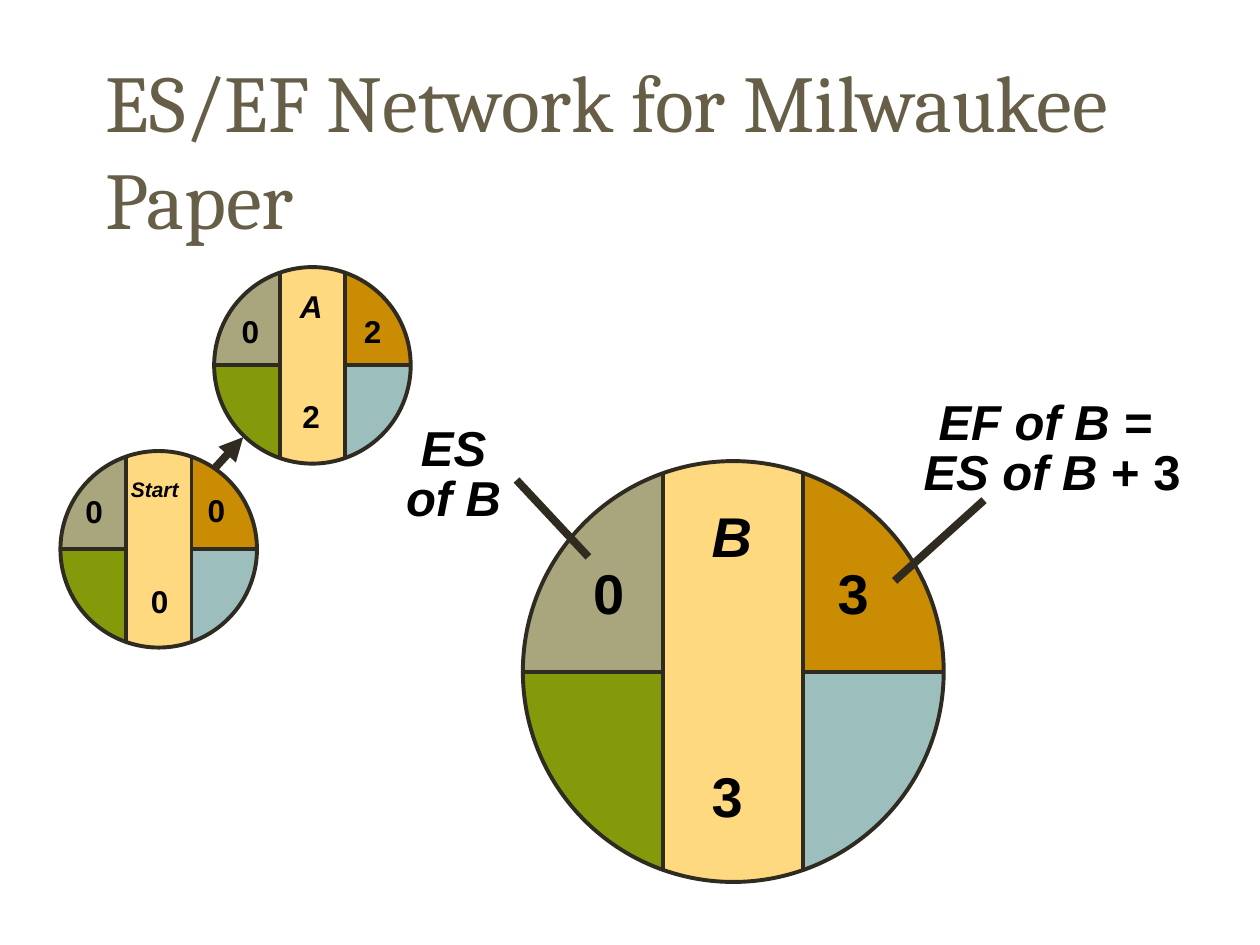
from dataclasses import dataclass
from math import acos, cos, pi, sin

from pptx import Presentation
from pptx.dml.color import RGBColor
from pptx.enum.shapes import MSO_CONNECTOR as Connector, MSO_SHAPE as Preset
from pptx.enum.text import MSO_ANCHOR as Anchor, MSO_AUTO_SIZE as AutoSize, PP_ALIGN as Align
from pptx.oxml.ns import qn
from pptx.util import Inches, Pt
from lxml.etree import SubElement

COLORS = {
    "band": "FFD980",
    "early_start": "A9A57C",
    "early_finish": "CA8C02",
    "late_start": "849A0A",
    "late_finish": "9CBEBD",
    "outline": "2F2B20",
    "title": "675E47",
    "text": "000000",
}
QUADRANTS = {
    "early_start": (-1, -1),
    "early_finish": (1, -1),
    "late_finish": (1, 1),
    "late_start": (-1, 1),
}
ARC_STEPS = 24


@dataclass(frozen=True)
class Node:
    center_x: float
    center_y: float
    radius: float


@dataclass(frozen=True)
class Line:
    start: tuple[float, float]
    end: tuple[float, float]
    width: float = 2.25
    arrow: bool = False


@dataclass(frozen=True)
class Label:
    box: tuple[float, float, float, float]
    paragraphs: tuple[str, ...]
    size: float
    italics: tuple[bool, ...] = (False,)
    align: Align = Align.LEFT
    gap: float = 0
    spacing: float = 1.0
    wrap: bool = False
    suffix: str = ""
    bold: bool = True
    font: str = "Arial"
    color: str = "text"
    anchor: Anchor = Anchor.TOP
    auto_size: AutoSize = AutoSize.SHAPE_TO_FIT_TEXT


NODES = (Node(5.82, 5.33, 1.67), Node(1.26, 4.36, 0.78), Node(2.48, 2.9, 0.78))

POINTERS = (
    Line((1.71, 3.71), (1.93, 3.47), 4.5, True),
    Line((7.81, 3.97), (7.1, 4.61), 4.5),
    Line((4.1, 3.81), (4.67, 4.42), 4.5),
)

LABELS = (
    Label((0.74, 0.45, 8.5, 1.46), ("ES/EF Network for Milwaukee Paper",), 46, wrap=True, bold=False,
          font="Cambria", color="title", anchor=Anchor.MIDDLE, auto_size=AutoSize.NONE),
    Label((5.55, 3.93, 0.52, 2.77), ("B", "3"), 32, (True, False), gap=110.4),
    Label((4.61, 4.38, 0.45, 0.64), ("0",), 32),
    Label((6.55, 4.38, 0.45, 0.64), ("3",), 32),
    Label((0.94, 3.73, 0.58, 0.3), ("Start",), 12, (True,)),
    Label((0.58, 3.86, 0.34, 0.4), ("0",), 18),
    Label((1.1, 4.57, 0.34, 0.4), ("0",), 18),
    Label((1.55, 3.85, 0.34, 0.4), ("0",), 18),
    Label((2.28, 2.23, 0.38, 1.3), ("A", "2"), 18, (True, False), Align.CENTER, gap=41.4),
    Label((2.79, 2.43, 0.34, 0.4), ("2",), 18),
    Label((1.82, 2.43, 0.34, 0.4), ("0",), 18),
    Label((7.23, 3.13, 2.24, 0.9), ("EF of B = \nES of B ",), 28, (True,), Align.CENTER,
          spacing=0.85, suffix="+ 3"),
    Label((3.02, 3.34, 1.16, 0.9), ("ES\nof B",), 28, (True,), Align.CENTER, spacing=0.85, wrap=True),
)


def color(name: str) -> RGBColor:
    return RGBColor.from_string(COLORS[name])


def apply_format(target, values: dict) -> None:
    for name, value in values.items():
        setattr(target, name, value)


def fill_shape(shape, fill: str) -> None:
    shape.shadow.inherit = False
    shape.fill.solid()
    shape.fill.fore_color.rgb = color(fill)
    shape.line.fill.background()


def draw_line(slide, line: Line) -> None:
    ends = [Inches(value) for value in line.start + line.end]
    connector = slide.shapes.add_connector(Connector.STRAIGHT, *ends)
    connector.line.color.rgb = color("outline")
    connector.line.width = Pt(line.width)
    properties = connector.line._get_or_add_ln()
    if line.arrow:
        SubElement(properties, qn("a:tailEnd"), type="triangle")
    SubElement(properties.getparent(), qn("a:effectLst"))


def draw_circle(slide, node: Node):
    left, top = node.center_x - node.radius, node.center_y - node.radius
    diameter = Inches(2 * node.radius)
    return slide.shapes.add_shape(Preset.OVAL, Inches(left), Inches(top), diameter, diameter)


def draw_quadrant(slide, node: Node, fill: str, side: int, direction: int) -> None:
    sweep = acos(1 / 3)
    angles = [sweep * step / ARC_STEPS for step in range(ARC_STEPS + 1)]
    arc = [
        (Inches(node.center_x + side * node.radius * cos(angle)),
         Inches(node.center_y + direction * node.radius * sin(angle)))
        for angle in angles
    ]
    corner = (Inches(node.center_x + side * node.radius / 3), Inches(node.center_y))
    builder = slide.shapes.build_freeform(*corner)
    builder.add_line_segments(arc, close=True)
    fill_shape(builder.convert_to_shape(), fill)


def draw_node(slide, node: Node) -> None:
    fill_shape(draw_circle(slide, node), "band")
    for fill, (side, direction) in QUADRANTS.items():
        draw_quadrant(slide, node, fill, side, direction)
    ring = draw_circle(slide, node)
    ring.shadow.inherit = False
    ring.fill.background()
    ring.line.color.rgb = color("outline")
    ring.line.width = Pt(2.25)
    half_height = node.radius * sin(acos(1 / 3))
    for side in (-1, 1):
        edge = node.center_x + side * node.radius / 3
        rim = node.center_x + side * node.radius
        draw_line(slide, Line((edge, node.center_y - half_height), (edge, node.center_y + half_height)))
        draw_line(slide, Line((edge, node.center_y), (rim, node.center_y)))


def add_run(paragraph, text: str, label: Label, italic: bool) -> None:
    run = paragraph.add_run()
    run.text = text
    apply_format(run.font, {"name": label.font, "size": Pt(label.size), "bold": label.bold, "italic": italic})
    run.font.color.rgb = color(label.color)


def draw_label(slide, label: Label) -> None:
    frame = slide.shapes.add_textbox(*(Inches(value) for value in label.box)).text_frame
    apply_format(frame, {
        "word_wrap": label.wrap,
        "auto_size": label.auto_size,
        "vertical_anchor": label.anchor,
    })
    for index, (text, italic) in enumerate(zip(label.paragraphs, label.italics)):
        paragraph = frame.add_paragraph() if index else frame.paragraphs[0]
        apply_format(paragraph, {
            "alignment": label.align,
            "line_spacing": label.spacing,
            "space_before": Pt(label.gap if index else 0),
        })
        for row, line in enumerate(text.split("\n")):
            if row:
                paragraph.add_line_break()
            add_run(paragraph, line, label, italic)
        if label.suffix:
            add_run(paragraph, label.suffix, label, False)


def main() -> None:
    presentation = Presentation()
    apply_format(presentation, {"slide_width": Inches(10), "slide_height": Inches(7.5)})
    slide = presentation.slides.add_slide(presentation.slide_layouts[6])
    for node in NODES:
        draw_node(slide, node)
    for pointer in POINTERS:
        draw_line(slide, pointer)
    for label in LABELS:
        draw_label(slide, label)
    presentation.save("out.pptx")


if __name__ == "__main__":
    main()
